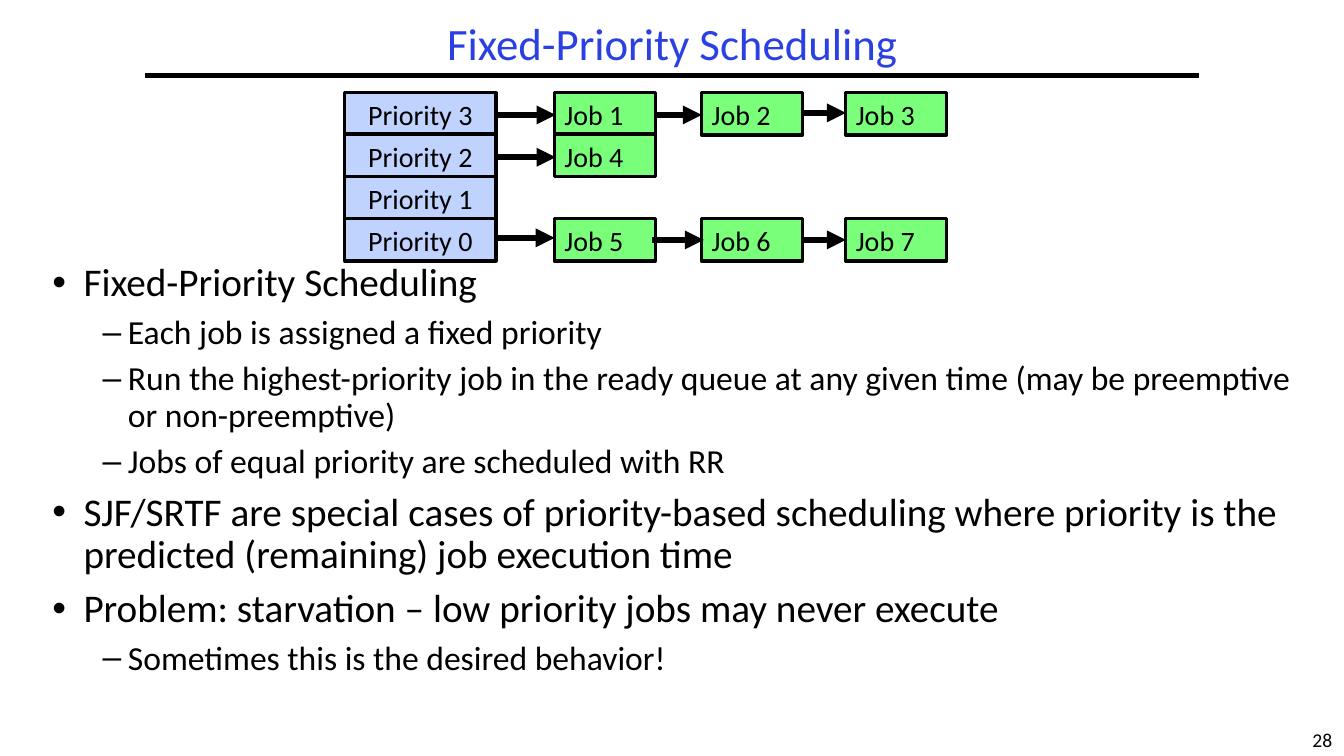
from dataclasses import dataclass

from lxml.etree import SubElement
from pptx import Presentation
from pptx.dml.color import RGBColor
from pptx.enum.shapes import MSO_CONNECTOR, MSO_SHAPE
from pptx.enum.text import MSO_ANCHOR, PP_ALIGN
from pptx.oxml.ns import qn
from pptx.util import Pt

PX = 9144  # EMU per px, 100 px to the inch
BLACK = RGBColor(0x00, 0x00, 0x00)
WHITE = RGBColor(0xFF, 0xFF, 0xFF)
TITLE = RGBColor(0x2A, 0x40, 0xE2)
BLUE = RGBColor(0xC0, 0xD2, 0xFE)
GREEN = RGBColor(0x79, 0xFF, 0x79)
FONT = "Calibri"


@dataclass(frozen=True)
class Box:
    left: int
    top: int
    width: int
    height: int


@dataclass(frozen=True)
class Queue:
    label: str
    top: int
    jobs: tuple[str, ...]


@dataclass(frozen=True)
class Arrow:
    start: int
    end: int
    y: int


@dataclass(frozen=True)
class Level:
    mark: str
    size: int
    margin: int
    hang: int


@dataclass(frozen=True)
class Point:
    level: Level
    text: str


QUEUES = (
    Queue("Priority 3", 92, ("Job 1", "Job 2", "Job 3")),
    Queue("Priority 2", 133, ("Job 4",)),
    Queue("Priority 1", 175, ()),
    Queue("Priority 0", 217, ("Job 5", "Job 6", "Job 7")),
)
COLUMNS = (550, 696, 839)
ARROWS = (
    Arrow(492, 551, 114), Arrow(650, 696, 114), Arrow(796, 839, 112),
    Arrow(492, 551, 156),
    Arrow(490, 550, 236), Arrow(647, 698, 238), Arrow(796, 839, 238),
)
MAIN = Level("•", 28, 31, 31)
SUB = Level("–", 24, 75, 25)
POINTS = (
    Point(MAIN, "Fixed-Priority Scheduling"),
    Point(SUB, "Each job is assigned a fixed priority"),
    Point(SUB, "Run the highest-priority job in the ready queue at any given "
               "time (may be preemptive or non-preemptive)"),
    Point(SUB, "Jobs of equal priority are scheduled with RR"),
    Point(MAIN, "SJF/SRTF are special cases of priority-based scheduling where "
                "priority is the predicted (remaining) job execution time"),
    Point(MAIN, "Problem: starvation – low priority jobs may never execute"),
    Point(SUB, "Sometimes this is the desired behavior!"),
)


def emu(box: Box) -> tuple[int, ...]:
    return tuple(n * PX for n in (box.left, box.top, box.width, box.height))


def write(para, text: str, *, size: int, color=BLACK, align=PP_ALIGN.LEFT,
          pitch: float = 1.0, before: float = 0) -> None:
    para.alignment = align
    para.line_spacing = pitch
    para.space_before = Pt(before)
    run = para.add_run()
    run.text = text
    run.font.name = FONT
    run.font.size = Pt(size)
    run.font.color.rgb = color


def add_text(slide, box: Box, wrap: bool = True, anchor=MSO_ANCHOR.TOP):
    frame = slide.shapes.add_textbox(*emu(box)).text_frame
    frame.word_wrap = wrap
    frame.vertical_anchor = anchor
    return frame


def add_cell(slide, box: Box, text: str, fill: RGBColor, align) -> None:
    cell = slide.shapes.add_shape(MSO_SHAPE.RECTANGLE, *emu(box))
    cell.shadow.inherit = False
    cell.fill.solid()
    cell.fill.fore_color.rgb = fill
    cell.line.color.rgb = BLACK
    cell.line.width = Pt(2.25)
    cell.text_frame.vertical_anchor = MSO_ANCHOR.TOP
    write(cell.text_frame.paragraphs[0], text, size=20, align=align)


def add_line(slide, span: Arrow, width: float, head: bool = True) -> None:
    line = slide.shapes.add_connector(
        MSO_CONNECTOR.STRAIGHT, span.start * PX, span.y * PX,
        span.end * PX, span.y * PX)
    line.line.color.rgb = BLACK
    line.line.width = Pt(width)
    if head:
        SubElement(line.line._get_or_add_ln(), qn("a:tailEnd"), type="triangle")
    SubElement(line._element.spPr, qn("a:effectLst"))


def add_points(slide) -> None:
    frame = add_text(slide, Box(42, 256, 1275, 461))
    for i, point in enumerate(POINTS):
        para = frame.add_paragraph() if i else frame.paragraphs[0]
        level = point.level
        props = para._p.get_or_add_pPr()
        props.set("marL", str(level.margin * PX))
        props.set("indent", str(-level.hang * PX))
        props.set("lvl", str(int(level is SUB)))
        SubElement(props, qn("a:buFont"), typeface="Arial")
        SubElement(props, qn("a:buChar"), char=level.mark)
        write(para, point.text, size=level.size, pitch=0.9,
              before=0.3 * level.size if i else 0)


def main() -> None:
    deck = Presentation()
    deck.slide_width, deck.slide_height = 1333 * PX, 750 * PX
    slide = deck.slides.add_slide(deck.slide_layouts[6])
    slide.background.fill.solid()
    slide.background.fill.fore_color.rgb = WHITE

    # Title, rule and page number
    title = add_text(slide, Box(17, 17, 1300, 58), anchor=MSO_ANCHOR.MIDDLE)
    write(title.paragraphs[0], "Fixed-Priority Scheduling", size=32,
          color=TITLE, align=PP_ALIGN.CENTER, pitch=0.9)
    add_line(slide, Arrow(144, 1189, 75), 3, head=False)
    page = add_text(slide, Box(1290, 717, 43, 33), wrap=False)
    write(page.paragraphs[0], "28", size=14, align=PP_ALIGN.CENTER)

    # Bulleted text
    add_points(slide)

    # Priority queues with their jobs
    for queue in QUEUES:
        add_cell(slide, Box(342, queue.top, 150, 42), queue.label, BLUE,
                 PP_ALIGN.CENTER)
        for left, job in zip(COLUMNS, queue.jobs):
            add_cell(slide, Box(left, queue.top, 100, 42), job, GREEN,
                     PP_ALIGN.LEFT)
    for arrow in ARROWS:
        add_line(slide, arrow, 4.5)

    deck.save("out.pptx")


if __name__ == "__main__":
    main()
